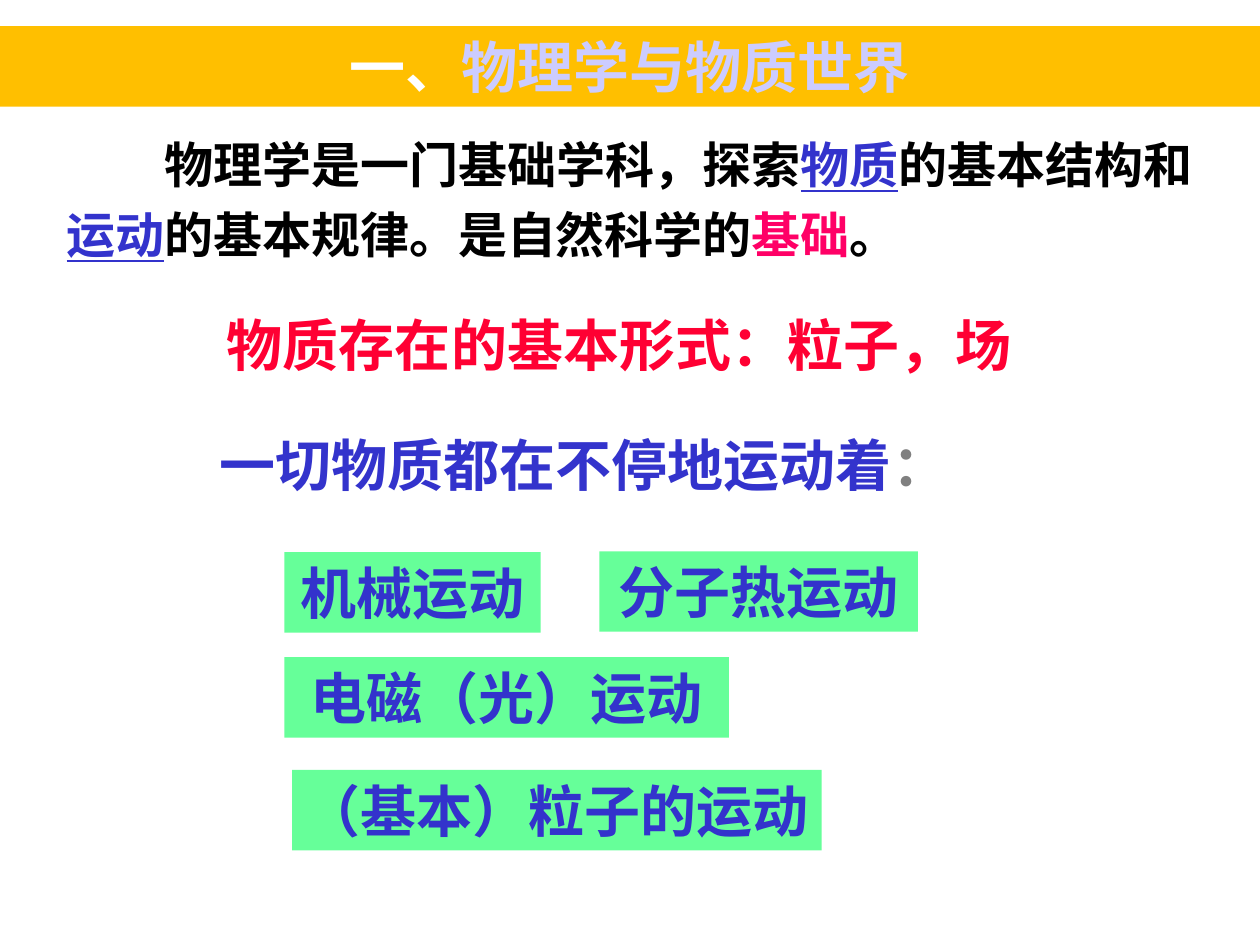
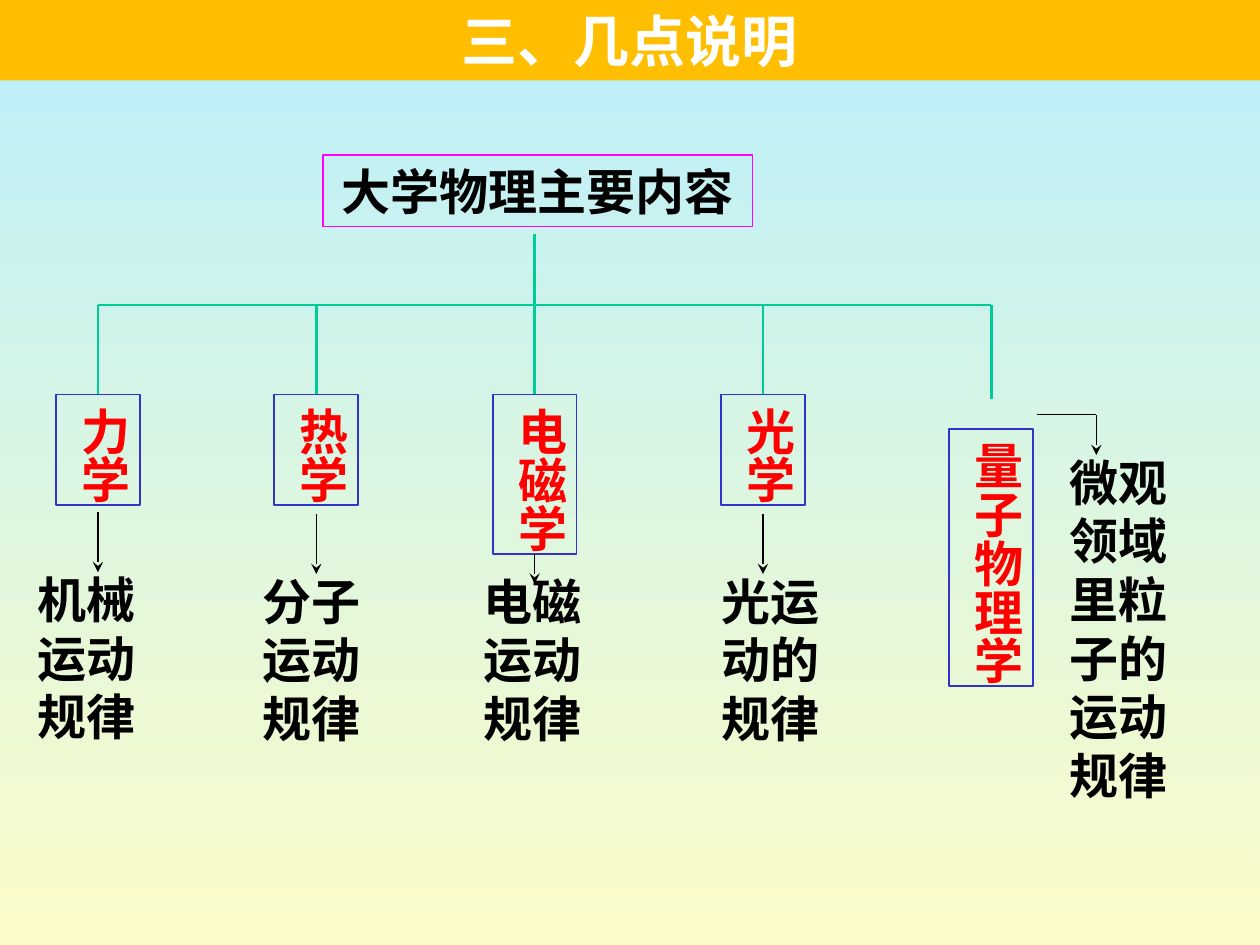
from dataclasses import dataclass

from lxml import etree
from pptx import Presentation
from pptx import util as u
from pptx.dml.color import RGBColor
from pptx.enum import shapes, text
from pptx.oxml.ns import qn


@dataclass(frozen=True)
class Theme:
    band: str = "FFBF00"
    white: str = "FFFFFF"
    lilac: str = "CCCCFF"
    black: str = "000000"
    blue: str = "3333CC"
    pink: str = "FF0066"
    crimson: str = "FF0033"
    red: str = "FF0000"
    gray: str = "808080"
    mint: str = "66FF99"
    magenta: str = "FF00FF"
    branch: str = "00CC99"
    sky: str = "BAEFFC"
    cream: str = "FBFCC8"
    serif: str = "Times New Roman"
    sans: str = "Noto Sans CJK SC"
    large: int = 32
    body: int = 28


theme = Theme()
Pt = u.Pt
rgb = RGBColor.from_string


def write(box, spans, face, size, inset=(7.2, 0), fill=None, outline=None,
          align=text.PP_ALIGN.CENTER, anchor=text.MSO_ANCHOR.MIDDLE, wrap=True):
    if fill:
        box.fill.solid()
        box.fill.fore_color.rgb = rgb(fill)
    else:
        box.fill.background()
    if outline:
        box.line.color.rgb = rgb(outline)
        box.line.width = Pt(1)
    else:
        box.line.fill.background()
    box.shadow.inherit = False
    frame = box.text_frame
    frame.auto_size = text.MSO_AUTO_SIZE.NONE
    frame.word_wrap = wrap
    frame.vertical_anchor = anchor
    frame.margin_left = frame.margin_right = Pt(inset[0])
    frame.margin_top = frame.margin_bottom = Pt(inset[1])
    para = frame.paragraphs[0]
    para.alignment = align
    para.font.name, para.font.size, para.font.bold = face, Pt(size), True
    for words, color, *underlined in spans:
        span = para.add_run()
        span.text = words
        span.font.color.rgb = rgb(color)
        if underlined:
            span.font.underline = True
    return para


def link(page, start, end, color, width, arrow=False):
    line = page.shapes.add_connector(
        shapes.MSO_CONNECTOR.STRAIGHT, *[Pt(value) for value in (*start, *end)])
    line.line.color.rgb = rgb(color)
    line.line.width = Pt(width)
    properties = line._element.spPr
    if arrow:
        etree.SubElement(properties.find(qn("a:ln")), qn("a:tailEnd"), type="stealth")
    etree.SubElement(properties, qn("a:effectLst"))
    return line


deck = Presentation()
deck.slide_width, deck.slide_height = Pt(720), Pt(540)

pages = []
for top, spans in [
    (15, [("一、", theme.white), ("物理学与物质世界", theme.lilac)]),
    (0, [("三、几点说明", theme.white)]),
]:
    page = deck.slides.add_slide(deck.slide_layouts[5])
    title = page.shapes.title
    title.left, title.top, title.width, title.height = Pt(0), Pt(top), Pt(720), Pt(46)
    write(title, spans, theme.serif, theme.large, fill=theme.band)
    pages.append(page)
matter, content = pages

intro = matter.shapes.add_textbox(Pt(31), Pt(65.5), Pt(663), Pt(88))
para = write(intro, [
    ("物理学是一门基础学科，探索", theme.black),
    ("物质", theme.blue, True),
    ("的基本结构和", theme.black),
    ("运动", theme.blue, True),
    ("的基本规律。是自然科学的", theme.black),
    ("基础", theme.pink),
    ("。", theme.black),
], theme.serif, theme.body, inset=(7.2, 5), align=text.PP_ALIGN.LEFT,
    anchor=text.MSO_ANCHOR.TOP)
para.line_spacing = Pt(40)
para._p.get_or_add_pPr().set("indent", str(Pt(2 * theme.body)))

for left, top, width, spans in [
    (76, 173.5, 556, [("物质存在的基本形式：粒子，场", theme.crimson)]),
    (102.5, 242, 430.5, [("一切物质都在不停地运动着", theme.blue), ("：", theme.gray)]),
]:
    box = matter.shapes.add_textbox(Pt(left), Pt(top), Pt(width), Pt(46))
    write(box, spans, theme.sans, theme.large)

for left, top, width, motion in [
    (162.5, 315.5, 146.5, "机械运动"),
    (342.5, 315, 182, "分子热运动"),
    (162.5, 375.5, 254, "电磁（光）运动"),
    (167, 440, 302.5, "（基本）粒子的运动"),
]:
    box = matter.shapes.add_shape(
        shapes.MSO_SHAPE.RECTANGLE, Pt(left), Pt(top), Pt(width), Pt(46))
    write(box, [(motion, theme.blue)], theme.sans, theme.large, fill=theme.mint, wrap=False)

backdrop = content.background.fill
backdrop.gradient()
backdrop.gradient_angle = 270
for stop, color, position in zip(backdrop.gradient_stops, (theme.sky, theme.cream), (0, 1)):
    stop.color.rgb = rgb(color)
    stop.position = position

root = content.shapes.add_shape(
    shapes.MSO_SHAPE.RECTANGLE, Pt(184.5), Pt(88.5), Pt(245.5), Pt(41))
write(root, [("大学物理主要内容", theme.black)], theme.serif, theme.body, outline=theme.magenta)

rail = 174.3
field_width = 48
fields = [
    ("力学", 32, 225.5, "机械运动规律", 14.5, 321, 78, (292.5, 327)),
    ("热学", 156.75, 225.5, "分子运动规律", 143, 322, 78, (294, 328)),
    ("电磁学", 281.5, 225.5, "电磁运动规律", 269.5, 322, 78, (317, 333.5)),
    ("光学", 412, 225.5, "光运动的规律", 405.5, 322, 78, (294, 328)),
    ("量子物理学", 542.5, 245, "微观领域里粒子的运动规律", 604, 254, 85, None),
]
centers = [field[1] + field_width / 2 for field in fields]
link(content, (centers[0], rail), (centers[-1], rail), theme.branch, 1.5)
link(content, (305.5, 134), (305.5, rail), theme.branch, 1.5)

for center, (name, left, top, law, law_left, law_top, law_width, arrow) in zip(centers, fields):
    height = len(name) * theme.body + 7.2
    branch = link(content, (center, rail), (center, 228), theme.branch, 1.5)
    box = content.shapes.add_shape(
        shapes.MSO_SHAPE.RECTANGLE, Pt(left), Pt(top), Pt(field_width), Pt(height))
    write(box, [(name, theme.red)], theme.serif, theme.body, inset=(3.6, 3.6),
          outline=theme.blue, anchor=text.MSO_ANCHOR.TOP, wrap=False)
    box.text_frame._txBody.bodyPr.set("vert", "eaVert")

    label = content.shapes.add_textbox(
        Pt(law_left), Pt(law_top), Pt(law_width), Pt(len(law) / 2 * 33.5 + 8))
    para = write(label, [(law, theme.black)], theme.serif, theme.body, inset=(7.2, 4.5),
                 align=text.PP_ALIGN.LEFT, anchor=text.MSO_ANCHOR.TOP)
    para.line_spacing = Pt(33.5)

    if arrow:
        branch.end_connect(box, 0)
        pointer = link(content, (center, arrow[0]), (center, arrow[1]), theme.black, 0.75, True)
        if name == "电磁学":
            pointer.begin_connect(box, 2)

link(content, (592.5, 237), (626.5, 237), theme.black, 0.75)
link(content, (626.5, 237), (626.5, 260), theme.black, 0.75, True)

deck.save("out.pptx")
